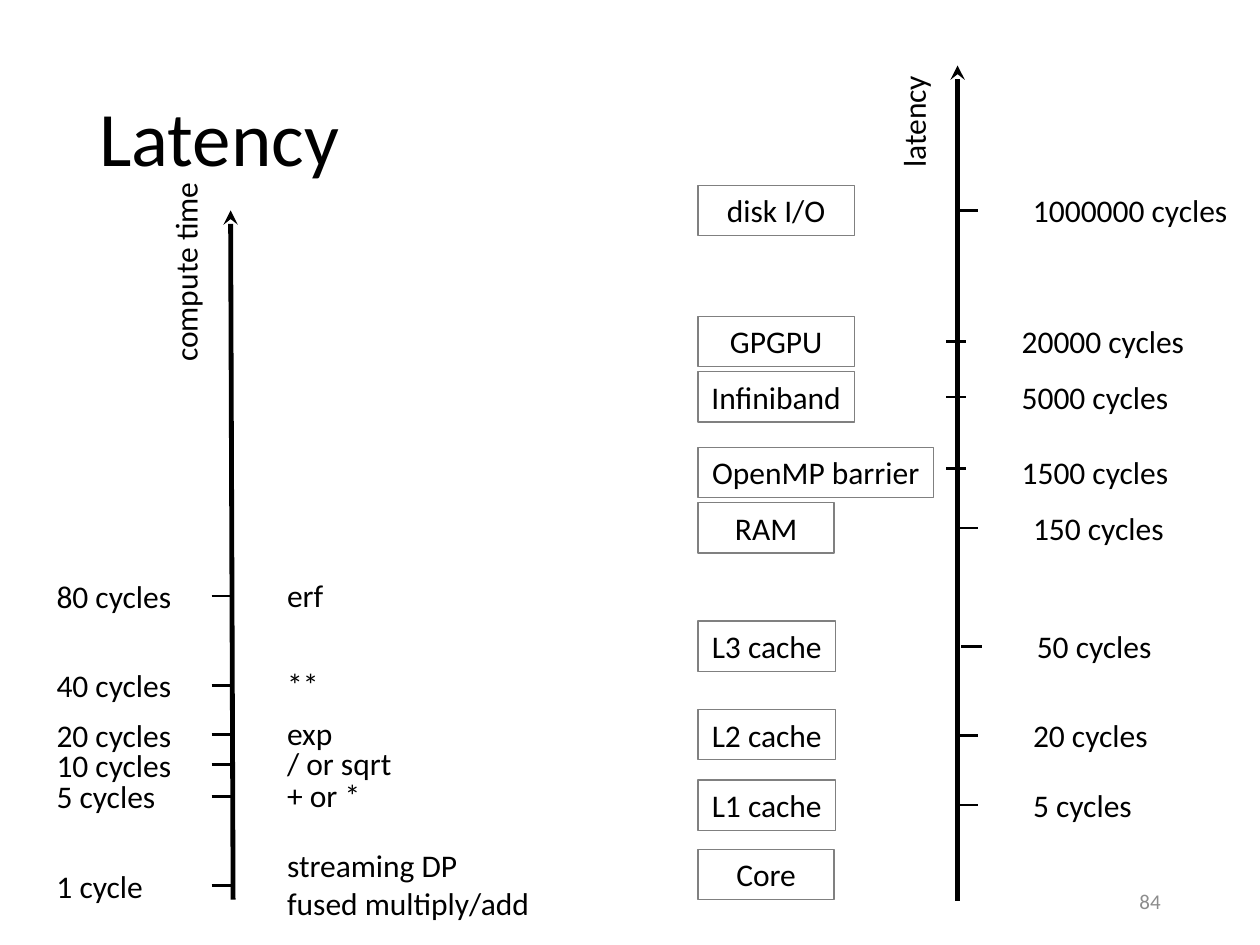
import pptx
import pptx.dml.color
import pptx.enum.shapes
import pptx.enum.text
import pptx.oxml
import pptx.oxml.ns
import pptx.util

BLACK = pptx.dml.color.RGBColor(0x00, 0x00, 0x00)
BOX_GREY = pptx.dml.color.RGBColor(0x80, 0x80, 0x80)
NUMBER_GREY = pptx.dml.color.RGBColor(0x8C, 0x8C, 0x8C)
ALIGN = pptx.enum.text.PP_ALIGN
ANCHOR = pptx.enum.text.MSO_ANCHOR

# The slide is a grid of 100 columns by 75 rows of square cells
CELL = pptx.util.Inches(0.1)
TEXT_ROWS = 4

# Operation, cycles, centre row, widths of both texts, rows of the operation
COMPUTE_STEPS = [
    ("erf", "80 cycles", 30.6, 4.9, 11.2, 4),
    ("**", "40 cycles", 37.7, 4.5, 11.2, 4),
    ("exp", "20 cycles", 41.6, 5.7, 11.2, 4),
    ("/ or sqrt", "10 cycles", 44.0, 10.4, 11.2, 4),
    ("+ or *", "5 cycles", 46.5, 7.9, 9.9, 4),
    ("streaming DP\nfused multiply/add", "1 cycle", 53.6, 21.5, 9.0, 7.1),
]

# Level, cycles, centre row, widths of both texts, tick start from the axis, tick row
LATENCY_LEVELS = [
    ("disk I/O", "1000000 cycles", 11.5, 12.4, 17.6, 0, 11.5),
    ("GPGPU", "20000 cycles", 21.9, 12.4, 15.1, -0.9, 21.9),
    ("Infiniband", "5000 cycles", 26.3, 12.4, 13.8, -0.9, 26.3),
    ("OpenMP barrier", "1500 cycles", 32.3, 18.7, 13.8, -0.9, 32.0),
    ("RAM", "150 cycles", 36.7, 10.8, 12.5, 0, 36.7),
    ("L3 cache", "50 cycles", 46.1, 10.9, 11.2, 0.3, 46.1),
    ("L2 cache", "20 cycles", 53.1, 10.9, 11.2, 0, 53.2),
    ("L1 cache", "5 cycles", 58.7, 10.9, 9.9, 0, 58.7),
    ("Core", None, 64.2, 10.8, None, None, None),
]


def cells(*counts):
    return [round(count * CELL) for count in counts]


def write(shape, text, size=18, color=BLACK, align=ALIGN.LEFT, anchor=ANCHOR.TOP,
          wrap=False, line_spacing=1.0):
    frame = shape.text_frame
    frame.word_wrap = wrap
    frame.vertical_anchor = anchor
    paragraph = frame.paragraphs[0]
    paragraph.text = text
    for name, value in {"alignment": align, "line_spacing": line_spacing}.items():
        setattr(paragraph, name, value)
    for run in paragraph.runs:
        for name, value in {"name": "Calibri", "size": pptx.util.Pt(size)}.items():
            setattr(run.font, name, value)
        run.font.color.rgb = color


def add_text(slide, text, left, centre, width, height=TEXT_ROWS, rotation=0, **text_format):
    shape = slide.shapes.add_textbox(*cells(left, centre - height / 2, width, height))
    shape.rotation = rotation
    write(shape, text, **text_format)


def add_level_box(slide, text, left, centre, width):
    shape = slide.shapes.add_shape(
        pptx.enum.shapes.MSO_SHAPE.RECTANGLE,
        *cells(left, centre - TEXT_ROWS / 2, width, TEXT_ROWS))
    shape.shadow.inherit = False
    shape.fill.background()
    shape.line.color.rgb = BOX_GREY
    shape.line.width = pptx.util.Pt(0.75)
    write(shape, text, align=ALIGN.CENTER)


def add_line(slide, start, end, width, arrow=False):
    line = slide.shapes.add_connector(
        pptx.enum.shapes.MSO_CONNECTOR.STRAIGHT, *cells(*start, *end))
    line.line.color.rgb = BLACK
    line.line.width = pptx.util.Pt(width)
    properties = line._element.spPr
    if arrow:
        tail = pptx.oxml.parse_xml(
            f'<a:tailEnd {pptx.oxml.ns.nsdecls("a")} type="stealth"/>')
        line.line._get_or_add_ln().append(tail)
    properties.append(pptx.oxml.parse_xml(f'<a:effectLst {pptx.oxml.ns.nsdecls("a")}/>'))


def add_compute_axis(slide, left, top, height):
    tick_left, tick_right = left + 13.3, left + 14.8
    add_line(slide, (tick_right + 0.2, top + height), (tick_right, top), 2.75, arrow=True)
    add_text(slide, "compute time", left + 3, top + 4.8, 16.4, rotation=270)
    for operation, cycles, row, operation_width, cycles_width, rows in COMPUTE_STEPS:
        centre = top + row
        add_text(slide, cycles, left, centre, cycles_width)
        add_text(slide, operation, left + 18.3, centre - 0.1, operation_width, rows)
        add_line(slide, (tick_left, centre), (tick_right, centre), 1.5)


def add_latency_axis(slide, left, top, height):
    axis = left + 20.6
    add_line(slide, (axis, top + height), (axis, top), 2.75, arrow=True)
    add_text(slide, "latency", left + 12.4, top + 4.4, 9.4, rotation=270)
    for level, cycles, row, box_width, cycles_width, shift, tick_row in LATENCY_LEVELS:
        add_level_box(slide, level, left, top + row, box_width)
        if cycles:
            start, tick = axis + shift, top + tick_row
            add_text(slide, cycles, start + 5, top + row, cycles_width)
            add_line(slide, (start, tick), (start + 1.6, tick), 1.5)


def main():
    presentation = pptx.Presentation()
    presentation.slide_width, presentation.slide_height = cells(100, 75)
    slide = presentation.slides.add_slide(presentation.slide_layouts[6])

    # Title and slide number
    add_text(slide, "Latency", 6.9, 11.25, 86.2, 14.5, size=44,
             anchor=ANCHOR.MIDDLE, wrap=True, line_spacing=0.9)
    add_text(slide, "84", 70.6, 71.5, 22.5, size=12, color=NUMBER_GREY,
             align=ALIGN.RIGHT, anchor=ANCHOR.MIDDLE, wrap=True)

    # The two scales
    add_compute_axis(slide, left=3.5, top=16.7, height=54.7)
    add_latency_axis(slide, left=55.4, top=5.2, height=66.3)

    presentation.save("out.pptx")


if __name__ == "__main__":
    main()
